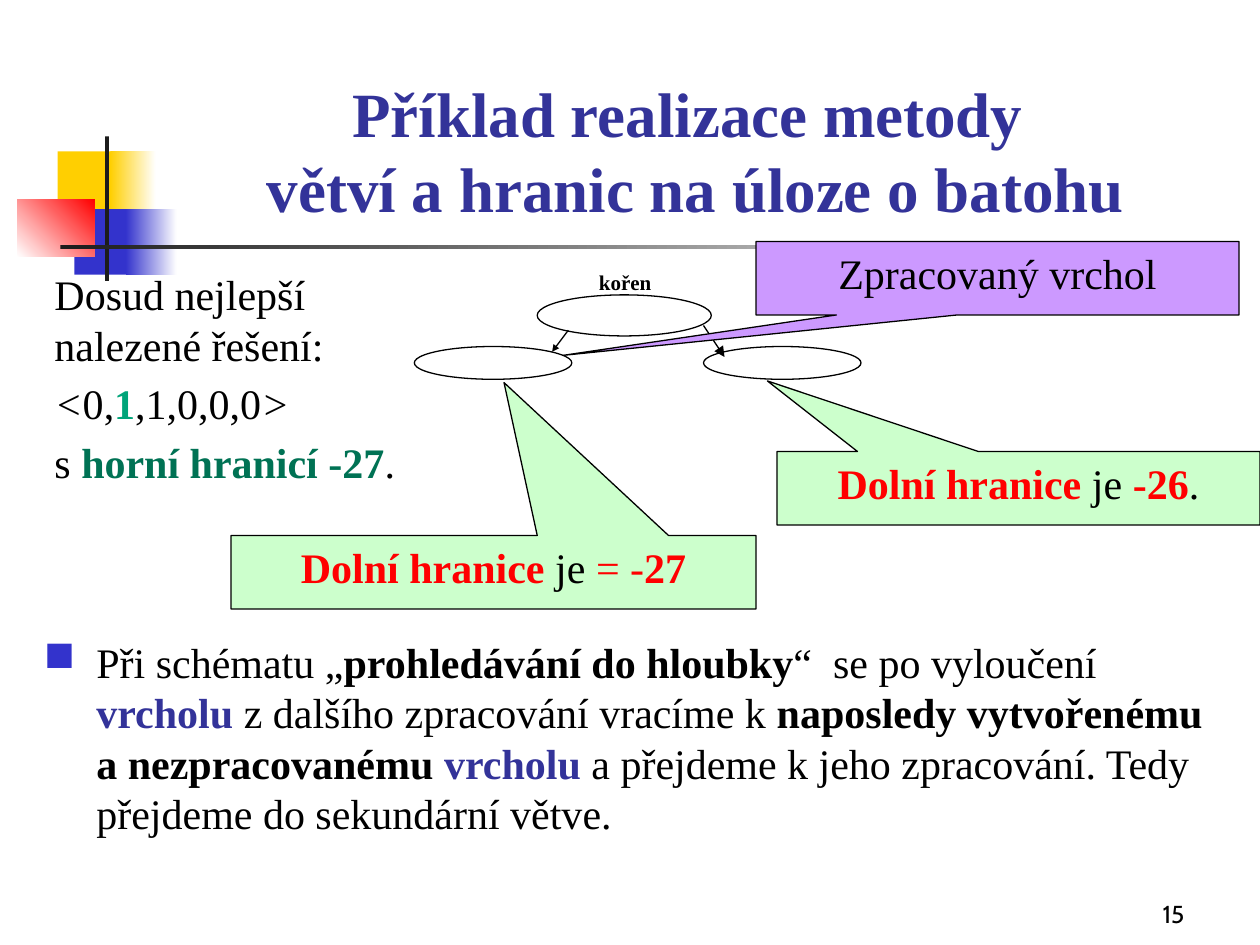
import pptx
import pptx.dml.color
import pptx.enum.shapes
import pptx.enum.text
import pptx.oxml
import pptx.oxml.ns
import pptx.util
from lxml import etree

Pt = pptx.util.Pt
SHAPE = pptx.enum.shapes.MSO_SHAPE
ALIGN = pptx.enum.text.PP_ALIGN
ANCHOR = pptx.enum.text.MSO_ANCHOR
SERIF = "Times New Roman"
BLACK, WHITE, RED = "000000", "FFFFFF", "FF0000"
YELLOW, BLUE, DARK, INDIGO = "FFCF01", "3333CC", "1C1C1C", "333399"
MINT, VIOLET = "CCFFCC", "CC99FF"


def color(value):
    """Turn a hex string into a colour."""
    return pptx.dml.color.RGBColor.from_string(value)


def add_xml(parent, tag, **attributes):
    """Append a drawing element with attributes and return it."""
    element = etree.SubElement(parent, pptx.oxml.ns.qn(tag))
    for name, value in attributes.items():
        element.set(name, value)
    return element


def add_shape(slide, kind, box, fill=None, line=None):
    """Add a preset shape with an optional solid fill and outline."""
    shape = slide.shapes.add_shape(kind, *map(Pt, box))
    shape.shadow.inherit = False
    if fill:
        shape.fill.solid()
        shape.fill.fore_color.rgb = color(fill)
    else:
        shape.fill.background()
    if line:
        shape.line.color.rgb = color(line)
        shape.line.width = Pt(0.75)
    else:
        shape.line.fill.background()
    return shape


def add_gradient(slide, box, start, end, angle=0):
    """Add a rectangle that fades between two colours."""
    shape = add_shape(slide, SHAPE.RECTANGLE, box)
    shape.fill.gradient()
    shape.fill.gradient_angle = angle
    for stop, value in zip(shape.fill.gradient_stops, (start, end)):
        stop.color.rgb = color(value)


def add_ornament(slide):
    """Add the coloured squares and the two rules beside the title."""
    add_shape(slide, SHAPE.RECTANGLE, (33, 86.5, 34.5, 37.5), YELLOW)
    add_gradient(slide, (63, 86.5, 26, 37.5), YELLOW, WHITE)
    add_shape(slide, SHAPE.RECTANGLE, (42.5, 119.5, 33, 37.5), BLUE)
    add_gradient(slide, (72, 119.5, 29, 37.5), BLUE, WHITE)
    add_gradient(slide, (10, 113.75, 44, 33), WHITE, RED, 45)
    add_shape(slide, SHAPE.RECTANGLE, (60, 78, 2.25, 82.5), DARK)
    add_gradient(slide, (34.5, 140.25, 648, 2.25), DARK, WHITE)


def set_font(paragraph, size, name=SERIF, value=BLACK, bold=False):
    """Format the font of a whole paragraph."""
    font = paragraph.font
    font.name, font.size, font.bold = name, Pt(size), bold
    font.color.rgb = color(value)


def add_runs(paragraph, runs):
    """Add runs given as text, colour and style letters."""
    for text, value, style in runs:
        run = paragraph.add_run()
        run.text = text
        if value:
            run.font.color.rgb = color(value)
        if "b" in style:
            run.font.bold = True
        if "i" in style:
            run.font.italic = True


def add_text(slide, box, paragraphs, size=24):
    """Add a wrapping text box of paragraphs and return its frame."""
    frame = slide.shapes.add_textbox(*map(Pt, box)).text_frame
    frame.word_wrap = True
    for index, runs in enumerate(paragraphs):
        paragraph = frame.add_paragraph() if index else frame.paragraphs[0]
        if index:
            paragraph.space_before = Pt(4.8)
        set_font(paragraph, size)
        add_runs(paragraph, runs)
    return frame


def add_bullet_text(slide, box, runs):
    """Add a text box with one square-bulleted paragraph."""
    frame = add_text(slide, box, [])
    paragraph = frame.paragraphs[0]
    properties = paragraph._p.get_or_add_pPr()
    properties.set("marL", str(Pt(30)))
    properties.set("indent", str(-Pt(30)))
    add_xml(add_xml(properties, "a:buClr"), "a:srgbClr", val=BLUE)
    add_xml(properties, "a:buChar", char="■")
    set_font(paragraph, 24)
    add_runs(paragraph, runs)


def add_callout(slide, box, tip, fill, runs):
    """Add a rectangular callout whose tip is relative to its size."""
    shape = add_shape(slide, SHAPE.RECTANGULAR_CALLOUT, box, fill, BLACK)
    shape.adjustments[0], shape.adjustments[1] = tip
    frame = shape.text_frame
    frame.word_wrap = True
    frame.vertical_anchor = ANCHOR.TOP
    paragraph = frame.paragraphs[0]
    paragraph.alignment = ALIGN.CENTER
    set_font(paragraph, 24)
    add_runs(paragraph, runs)


def add_arrow(slide, start, end, head):
    """Add a straight arrow with a head of the given size."""
    connector = slide.shapes.add_connector(
        pptx.enum.shapes.MSO_CONNECTOR.STRAIGHT, *map(Pt, start + end))
    connector.line.color.rgb = color(BLACK)
    connector.line.width = Pt(0.75)
    add_xml(connector.line._get_or_add_ln(), "a:tailEnd",
            type="triangle", w=head, len=head)
    add_xml(connector._element.spPr, "a:effectLst")


def format_title(slide, box, text):
    """Place and format the title placeholder."""
    title = slide.shapes.title
    title.left, title.top, title.width, title.height = map(Pt, box)
    frame = title.text_frame
    frame.text = text
    frame.word_wrap = True
    frame.auto_size = pptx.enum.text.MSO_AUTO_SIZE.NONE
    frame.vertical_anchor = ANCHOR.BOTTOM
    frame.paragraphs[0].alignment = ALIGN.CENTER
    set_font(frame.paragraphs[0], 36, value=INDIGO, bold=True)


def add_slide_number(slide, box, text):
    """Add the slide number at the bottom right."""
    frame = add_text(slide, box, [[(text, None, "")]])
    frame.vertical_anchor = ANCHOR.BOTTOM
    frame.paragraphs[0].alignment = ALIGN.RIGHT
    set_font(frame.paragraphs[0], 14, "Cabin")


def add_tree(slide):
    """Add the root, its two children and the arrows to them."""
    frame = add_text(slide, (341.5, 153.5, 34.5, 16.5),
                     [[("kořen", None, "b")]], 12)
    frame.word_wrap = False
    frame.margin_left = frame.margin_right = Pt(0.75)
    frame.margin_top = frame.margin_bottom = Pt(0.75)
    for box in ((307, 168.5, 99.5, 23.5), (236.75, 198, 90, 18.75),
                (402, 198, 90, 18.75)):
        add_shape(slide, SHAPE.OVAL, box, line=BLACK)
    add_arrow(slide, (324.75, 188.75), (315.5, 201), "sm")
    add_arrow(slide, (402, 186), (414, 204), "med")


def main():
    """Build the slide and save it."""
    presentation = pptx.Presentation()
    presentation.slide_width, presentation.slide_height = Pt(720), Pt(540)
    slide = presentation.slides.add_slide(presentation.slide_layouts[5])
    add_ornament(slide)
    add_slide_number(slide, (534, 498, 150, 36), "15")
    format_title(slide, (90.75, 30, 613.5, 102.5),
                 "Příklad realizace metody \vvětví a hranic na úloze o batohu")
    add_tree(slide)
    add_text(slide, (24, 150, 234, 174), [
        [("Dosud nejlepší nalezené řešení:", None, "")],
        [("<", None, "i"), ("0,", None, ""), ("1", "00A479", "b"),
         (",1,0,0,0", None, ""), (">", None, "i")],
        [("s ", None, ""), ("horní hranicí -27", "007254", "b"),
         (".", None, "")]])
    bound = [("Dolní hranice ", RED, "b"), ("je ", None, "")]
    add_callout(slide, (444, 258, 276, 42), (-0.52, -1.46), MINT,
                bound + [("-26", RED, "b"), (".", None, "")])
    add_callout(slide, (432, 138, 276, 42), (-0.9, 1.05), VIOLET,
                [("Zpracovaný vrchol", None, "")])
    add_callout(slide, (132, 306, 300, 42), (0.02, -2.58), MINT,
                bound + [("= -", RED, ""), ("27", RED, "b")])
    add_bullet_text(slide, (18, 360, 680, 156), [
        ("Při schématu „", None, ""),
        ("prohledávání do hloubky", None, "b"),
        ("“  se po vyloučení ", None, ""),
        ("vrcholu ", INDIGO, "b"),
        ("z dalšího zpracování vracíme k ", None, ""),
        ("naposledy vytvořenému a nezpracovanému ", None, "b"),
        ("vrcholu ", INDIGO, "b"),
        ("a přejdeme k jeho zpracování. Tedy přejdeme do sekundární větve.",
         None, "")])
    presentation.save("out.pptx")


if __name__ == "__main__":
    main()
